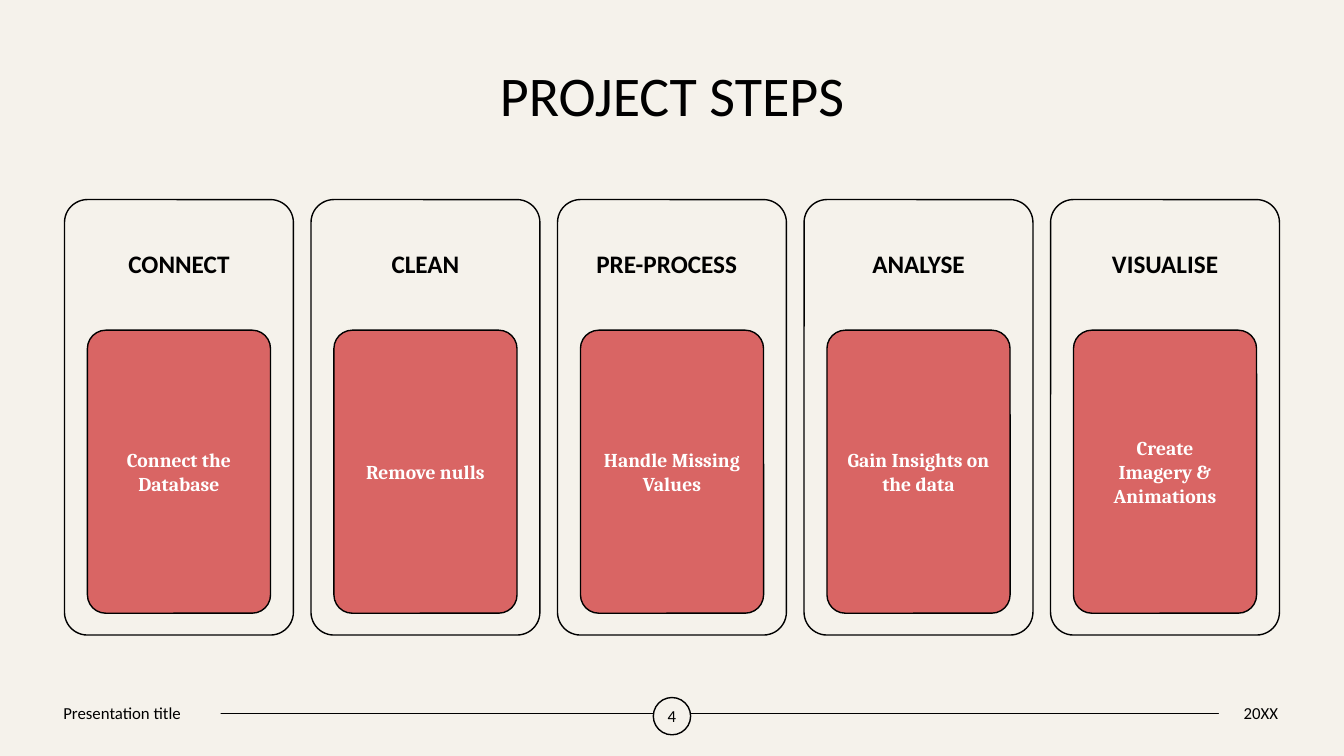
"""Build the project steps slide: five step cards above a footer."""
from pptx import Presentation
from pptx.dml.color import RGBColor
from pptx.enum.shapes import MSO_CONNECTOR, MSO_SHAPE
from pptx.enum.text import MSO_ANCHOR, PP_ALIGN
from pptx.oxml.ns import qn
from pptx.util import Inches, Pt
from lxml.etree import SubElement

TITLE = "PROJECT STEPS"
STEPS = [
    ("CONNECT", "Connect the Database", 0.04),
    ("CLEAN", "Remove nulls", 0.04),
    ("PRE-PROCESS\t", "Handle Missing Values", 0.04),
    ("ANALYSE", "Gain Insights on the data", 0.04),
    ("VISUALISE", "Create Imagery & Animations", 0.2),
]
FOOTER_TITLE, PAGE_NUMBER, FOOTER_DATE = "Presentation title", "4", "20XX"

CREAM = RGBColor(0xF5, 0xF2, 0xEB)
CORAL = RGBColor(0xD9, 0x65, 0x64)
BLACK = RGBColor(0, 0, 0)
WHITE = RGBColor(0xFF, 0xFF, 0xFF)

WIDTH, HEIGHT = 13.33, 7.5
MARGIN, CARD_TOP, CARD_WIDTH, CARD_HEIGHT = 0.64, 1.98, 2.27, 4.32
PITCH = (WIDTH - 2 * MARGIN - CARD_WIDTH) / (len(STEPS) - 1)
HEADER_HEIGHT = 0.3 * CARD_HEIGHT
PANEL_WIDTH, PANEL_HEIGHT = 0.8 * CARD_WIDTH, 0.65 * CARD_HEIGHT
PANEL_INDENT = (CARD_WIDTH - PANEL_WIDTH) / 2
FOOTER_TOP, FOOTER_HEIGHT, BADGE_SIZE = 6.92, 0.3, 0.37


def write(box, text, size, font="Calibri", color=BLACK, bold=False,
          align=PP_ALIGN.CENTER, spacing=1.0, insets=(0, 0)):
    """Put one styled paragraph, centred vertically, into a box."""
    frame = box.text_frame
    frame.word_wrap = True
    frame.vertical_anchor = MSO_ANCHOR.MIDDLE
    frame.margin_left = frame.margin_right = Inches(insets[0])
    frame.margin_top = frame.margin_bottom = Inches(insets[1])
    para = frame.paragraphs[0]
    para.text = text
    para.alignment = align
    para.line_spacing = spacing
    para.font.size = Pt(size)
    para.font.name = font
    para.font.bold = bold
    para.font.color.rgb = color


def add_label(page, area, text, size, **style):
    """Add a text box."""
    write(page.shapes.add_textbox(*map(Inches, area)), text, size, **style)


def add_block(page, kind, area, fill, outlined=True):
    """Add a filled shape, with a thin black outline if wanted."""
    block = page.shapes.add_shape(kind, *map(Inches, area))
    block.shadow.inherit = False
    block.fill.solid()
    block.fill.fore_color.rgb = fill
    if outlined:
        block.line.color.rgb = BLACK
        block.line.width = Pt(1)
    else:
        block.line.fill.background()
    if kind == MSO_SHAPE.ROUNDED_RECTANGLE:
        block.adjustments[0] = 0.1
    return block


def add_step(page, index, heading, detail, inset):
    """Add one card with its heading and coloured panel."""
    left = MARGIN + index * PITCH
    rounded = MSO_SHAPE.ROUNDED_RECTANGLE
    add_block(page, rounded, (left, CARD_TOP, CARD_WIDTH, CARD_HEIGHT), CREAM)
    add_label(page, (left, CARD_TOP, CARD_WIDTH, HEADER_HEIGHT), heading, 18,
              bold=True, spacing=0.9, insets=(0.07, 0.07))
    panel = add_block(page, rounded, (left + PANEL_INDENT, CARD_TOP + HEADER_HEIGHT,
                                      PANEL_WIDTH, PANEL_HEIGHT), CORAL)
    write(panel, detail, 14, font="Cambria", color=WHITE, bold=True,
          insets=(inset, inset))


def add_footer(page):
    """Add the footer rule with its title, page number and date."""
    rule_y = Inches(7.08)
    rule = page.shapes.add_connector(MSO_CONNECTOR.STRAIGHT, Inches(0.62), rule_y,
                                     Inches(12.67), rule_y)
    rule.line.color.rgb = BLACK
    rule.line.width = Pt(1)
    SubElement(rule._element.spPr, qn("a:effectLst"))
    name = add_block(page, MSO_SHAPE.RECTANGLE,
                     (0.53, FOOTER_TOP, 1.66, FOOTER_HEIGHT), CREAM, False)
    write(name, FOOTER_TITLE, 12, align=PP_ALIGN.LEFT, insets=(0.1, 0.05))
    badge = add_block(page, MSO_SHAPE.OVAL, ((WIDTH - BADGE_SIZE) / 2, FOOTER_TOP,
                                             BADGE_SIZE, BADGE_SIZE), CREAM)
    write(badge, PAGE_NUMBER, 12)
    date = add_block(page, MSO_SHAPE.RECTANGLE,
                     (12.09, FOOTER_TOP, 0.83, FOOTER_HEIGHT), CREAM, False)
    write(date, FOOTER_DATE, 12)


def main():
    """Build and save the deck."""
    deck = Presentation()
    deck.slide_width, deck.slide_height = Inches(WIDTH), Inches(HEIGHT)
    page = deck.slides.add_slide(deck.slide_layouts[6])
    page.background.fill.solid()
    page.background.fill.fore_color.rgb = CREAM
    add_label(page, (MARGIN, 0.59, WIDTH - 2 * MARGIN, 0.78), TITLE, 40,
              spacing=0.9, insets=(0.1, 0.05))
    for index, step in enumerate(STEPS):
        add_step(page, index, *step)
    add_footer(page)
    deck.save("out.pptx")


if __name__ == "__main__":
    main()
